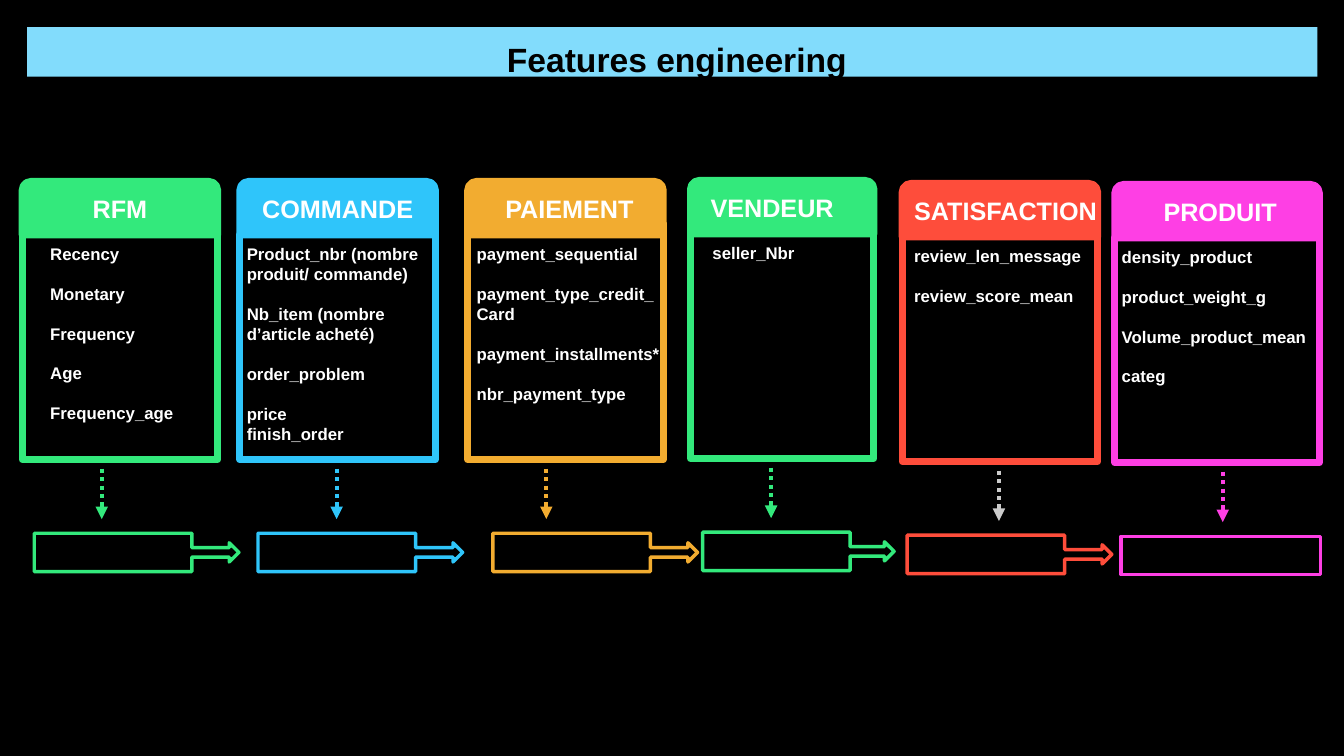
import dataclasses

import lxml.etree
import pptx
import pptx.dml.color
import pptx.enum.dml
import pptx.enum.shapes
import pptx.enum.text
import pptx.oxml.ns
import pptx.util

RGBColor = pptx.dml.color.RGBColor
Shape = pptx.enum.shapes.MSO_SHAPE
Align = pptx.enum.text.PP_ALIGN
Pt = pptx.util.Pt

BLACK = RGBColor(0x00, 0x00, 0x00)
WHITE = RGBColor(0xFF, 0xFF, 0xFF)
GRAY = RGBColor(0xCB, 0xCB, 0xCB)
SKY = RGBColor(0x82, 0xDC, 0xFC)
GREEN = RGBColor(0x33, 0xE9, 0x7C)
BLUE = RGBColor(0x2F, 0xC5, 0xFA)
ORANGE = RGBColor(0xF2, 0xAC, 0x30)
RED = RGBColor(0xFE, 0x4D, 0x3B)
PINK = RGBColor(0xFE, 0x3F, 0xE4)

GRID = pptx.util.Inches(0.1)
SLIDE_COLUMNS, SLIDE_ROWS = 133.33, 75
HEADER_ROWS, BODY_ROWS, STEP_ROWS = 5.3, 22.3, 3.8
TITLE_ROW, LIST_ROW, ARROW_ROW, STEP_ROW = 0.7, 5.7, 28.5, 34.9
ARROW_ROWS = 5


@dataclasses.dataclass
class Category:
    title: str
    features: list
    color: RGBColor
    card: tuple
    title_span: tuple
    list_span: tuple
    step_span: tuple
    arrow_column: float
    arrow_color: RGBColor
    has_next: bool = True


CATEGORIES = [
    Category("RFM", ["Recency", "Monetary", "Frequency", "Age", "Frequency_age"],
             GREEN, (2.2, 18, 19.4), (4.8, 14.2), (4, 15.8), (3.4, 20.3), 10.1, GREEN),
    Category("COMMANDE",
             ["Product_nbr (nombre\nproduit/ commande)", "Nb_item (nombre\nd’article acheté)",
              "order_problem", "price\nfinish_order"],
             BLUE, (23.8, 18, 19.4), (24.1, 18.8), (23.5, 19.4), (25.6, 20.3), 33.4, BLUE),
    Category("PAIEMENT",
             ["payment_sequential", "payment_type_credit_\nCard", "payment_installments*",
              "nbr_payment_type"],
             ORANGE, (46.4, 18, 19.4), (47.5, 18), (46.3, 20.6), (48.9, 20.3), 54.2, ORANGE),
    Category("VENDEUR", ["seller_Nbr"],
             GREEN, (68.5, 17.9, 18.2), (67.7, 17.8), (69.7, 17.6), (69.7, 19), 76.5, GREEN),
    Category("SATISFACTION", ["review_len_message", "review_score_mean"],
             RED, (89.5, 18.2, 19.4), (89.2, 21.1), (89.7, 18.8), (90, 20.3), 99.1, GRAY),
    Category("PRODUIT", ["density_product", "product_weight_g", "Volume_product_mean", "categ"],
             PINK, (110.6, 18.3, 20.3), (113.6, 14.9), (110.3, 20.3), (111.2, 19.8), 121.3, PINK,
             False),
]


def cells(*counts):
    return [int(count * GRID) for count in counts]


def add_block(slide, kind, box, fill, line=None, weight=0):
    shape = slide.shapes.add_shape(kind, *cells(*box))
    shape.shadow.inherit = False
    shape.fill.solid()
    shape.fill.fore_color.rgb = fill
    if line is None:
        shape.line.fill.background()
    else:
        shape.line.color.rgb = line
        shape.line.width = Pt(weight)
    return shape


def format_paragraph(paragraph, size, color, alignment):
    paragraph.alignment = alignment
    for run in paragraph.runs:
        run.font.name = "Arial"
        run.font.size = Pt(size)
        run.font.bold = True
        run.font.color.rgb = color


def add_text(slide, box, groups, size, alignment):
    text_frame = slide.shapes.add_textbox(*cells(*box)).text_frame
    text_frame.word_wrap = True
    text_frame.text = "\n".join(groups)
    for paragraph in text_frame.paragraphs:
        format_paragraph(paragraph, size, WHITE, alignment)
    first_line = 0
    for group in groups:
        if first_line:
            text_frame.paragraphs[first_line].space_before = Pt(14)
        first_line += len(group.split("\n"))


def add_dotted_arrow(slide, column, row, color):
    arrow = slide.shapes.add_connector(
        pptx.enum.shapes.MSO_CONNECTOR.STRAIGHT, *cells(column, row, column, row + ARROW_ROWS))
    arrow.line.color.rgb = color
    arrow.line.width = Pt(3)
    arrow.line.dash_style = pptx.enum.dml.MSO_LINE.ROUND_DOT
    properties = arrow._element.spPr
    outline = properties.find(pptx.oxml.ns.qn("a:ln"))
    lxml.etree.SubElement(outline, pptx.oxml.ns.qn("a:tailEnd"), type="triangle")
    lxml.etree.SubElement(properties, pptx.oxml.ns.qn("a:effectLst"))


def add_banner(slide, box):
    banner = add_block(slide, Shape.RECTANGLE, box, SKY)
    text_frame = banner.text_frame
    text_frame.text = "Features engineering"
    text_frame.vertical_anchor = pptx.enum.text.MSO_ANCHOR.TOP
    text_frame.margin_left, text_frame.margin_top = cells(0.9, 1.2)
    text_frame.margin_right = text_frame.margin_bottom = 0
    format_paragraph(text_frame.paragraphs[0], 24, BLACK, Align.CENTER)


def add_card(slide, category, box):
    left, top, width, height = box
    body = (left, top + HEADER_ROWS, width, height - HEADER_ROWS)
    add_block(slide, Shape.RECTANGLE, body, BLACK, category.color, 5)
    header = (left, top, width, HEADER_ROWS)
    add_block(slide, Shape.ROUND_2_SAME_RECTANGLE, header, category.color, category.color, 5)
    title_left, title_width = category.title_span
    add_text(slide, (title_left, top + TITLE_ROW, title_width, 4),
             [category.title], 18, Align.CENTER)
    list_left, list_width = category.list_span
    add_text(slide, (list_left, top + LIST_ROW, list_width, BODY_ROWS),
             category.features, 12, Align.LEFT)


def add_step(slide, category, box):
    kind = Shape.RIGHT_ARROW_CALLOUT if category.has_next else Shape.RECTANGLE
    step = add_block(slide, kind, box, BLACK, category.color, 2.5)
    if category.has_next:
        step.adjustments[3] = 0.77


def add_category(slide, category):
    left, top, width = category.card
    add_card(slide, category, (left, top, width, HEADER_ROWS + BODY_ROWS))
    add_dotted_arrow(slide, category.arrow_column, top + ARROW_ROW, category.arrow_color)
    step_left, step_width = category.step_span
    add_step(slide, category, (step_left, top + STEP_ROW, step_width, STEP_ROWS))


def main():
    presentation = pptx.Presentation()
    presentation.slide_width, presentation.slide_height = cells(SLIDE_COLUMNS, SLIDE_ROWS)
    slide = presentation.slides.add_slide(presentation.slide_layouts[6])
    slide.background.fill.solid()
    slide.background.fill.fore_color.rgb = BLACK
    add_banner(slide, (2.7, 2.7, 128, 4.9))
    for category in CATEGORIES:
        add_category(slide, category)
    presentation.save("out.pptx")


if __name__ == "__main__":
    main()
